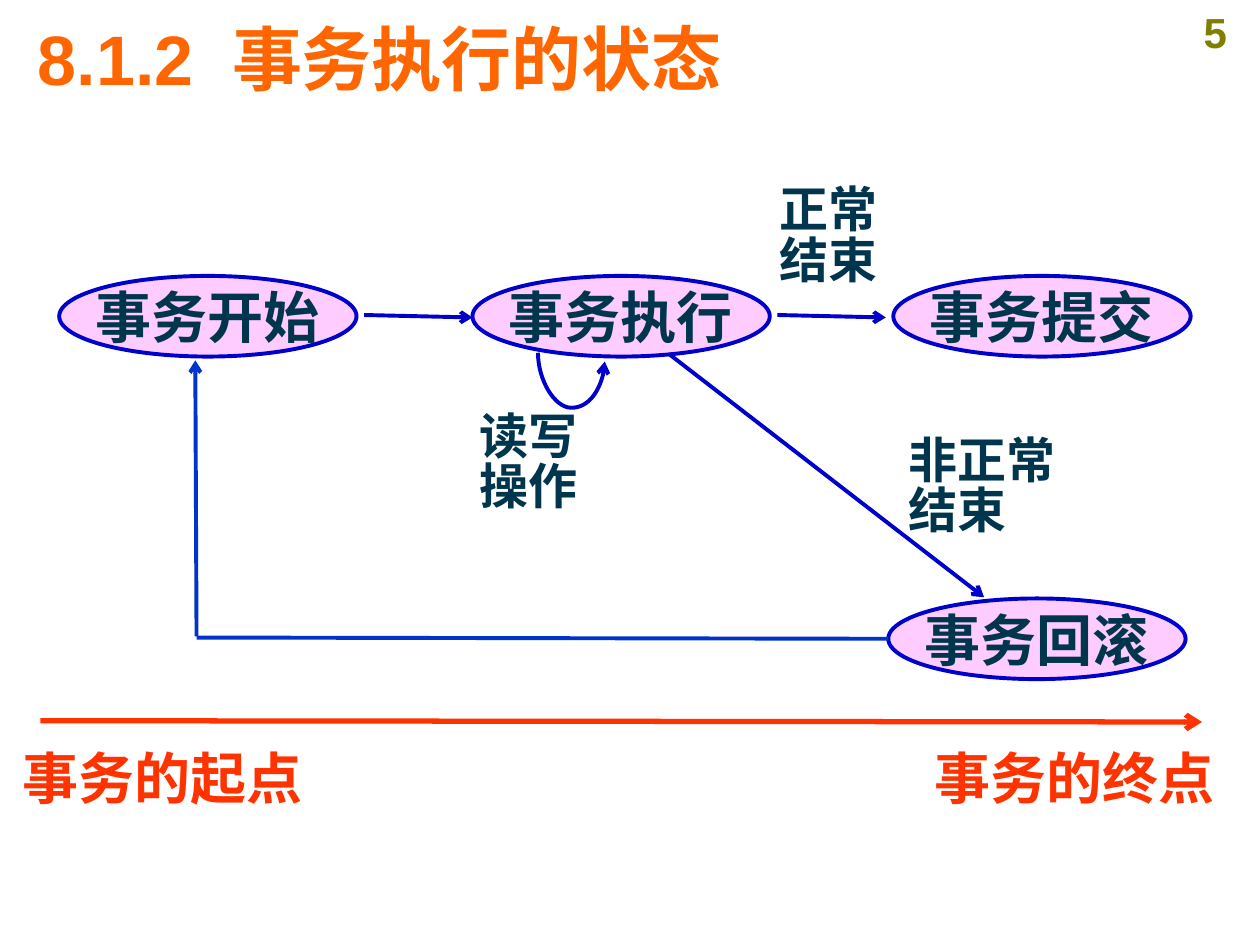
from pptx import Presentation
from pptx import util as u
from pptx.dml.color import RGBColor
from pptx.enum import shapes, text
from pptx.oxml import parse_xml
from pptx.oxml.ns import nsdecls, qn

ORANGE = RGBColor(0xFF, 0x66, 0x00)
OLIVE = RGBColor(0x80, 0x80, 0x00)
PINK = RGBColor(0xFF, 0xCC, 0xFF)
NAVY = RGBColor(0x00, 0x00, 0xCC)
BLUE = RGBColor(0x00, 0x33, 0xCC)
INK = RGBColor(0x00, 0x35, 0x4E)
RED = RGBColor(0xFF, 0x33, 0x00)
LEFT, MID = text.PP_ALIGN.LEFT, text.PP_ALIGN.CENTER


class Page:
    head = "Arial"
    body = "Roboto"

    def __init__(self, deck):
        self.slide = deck.slides.add_slide(deck.slide_layouts[5])

    def run(self, para, words, size, color, face):
        run = para.add_run()
        run.text = words
        font = run.font
        font.name, font.size, font.bold = face, u.Pt(size), True
        font.color.rgb = color
        return run

    def title(self, x, y, w, h, num, words):
        shape = self.slide.shapes.title
        shape.left, shape.top = u.Inches(x), u.Inches(y)
        shape.width, shape.height = u.Inches(w), u.Inches(h)
        frame = shape.text_frame
        frame.auto_size = text.MSO_AUTO_SIZE.NONE
        frame.vertical_anchor = text.MSO_ANCHOR.MIDDLE
        para = frame.paragraphs[0]
        para.alignment = LEFT
        self.run(para, num, 40, ORANGE, self.head)
        gap = self.run(para, " ", 40, ORANGE, self.head)
        gap.font._element.set("spc", "1100")
        self.run(para, words, 40, ORANGE, self.head)

    def label(self, x, y, w, h, lines, size, color, face=body, align=LEFT,
              lead=None, wrap=False):
        box = self.slide.shapes.add_textbox(*map(u.Inches, (x, y, w, h)))
        frame = box.text_frame
        frame.word_wrap = wrap
        for i, words in enumerate(lines):
            para = frame.add_paragraph() if i else frame.paragraphs[0]
            para.alignment = align
            if lead:
                para.line_spacing = u.Pt(lead)
            self.run(para, words, size, color, face)

    def state(self, x, y, words):
        oval = self.slide.shapes.add_shape(
            shapes.MSO_SHAPE.OVAL, *map(u.Inches, (x, y, 2.36, 0.64)))
        oval.shadow.inherit = False
        oval.fill.solid()
        oval.fill.fore_color.rgb = PINK
        oval.line.color.rgb = NAVY
        oval.line.width = u.Pt(2.25)
        frame = oval.text_frame
        frame.word_wrap = False
        frame.vertical_anchor = text.MSO_ANCHOR.MIDDLE
        para = frame.paragraphs[0]
        para.alignment = MID
        self.run(para, words, 32, INK, self.body)

    def line(self, x1, y1, x2, y2, color=NAVY, width=2.25, arrow=True,
             kind=shapes.MSO_CONNECTOR.STRAIGHT):
        line = self.slide.shapes.add_connector(
            kind, *map(u.Inches, (x1, y1, x2, y2)))
        line.line.color.rgb = color
        line.line.width = u.Pt(width)
        if arrow:
            line.line._get_or_add_ln().append(
                parse_xml(f'<a:tailEnd {nsdecls("a")} type="arrow"/>'))
        line._element.spPr.append(
            parse_xml(f'<a:effectLst {nsdecls("a")}/>'))
        return line

    def loop(self, x1, y1, x2, y2, bend):
        curve = self.line(x1, y1, x2, y2, kind=shapes.MSO_CONNECTOR.CURVE)
        props = curve._element.spPr
        props.find(qn("a:xfrm")).set("rot", str(270 * 60000))
        geom = props.find(qn("a:prstGeom"))
        old = geom.find(qn("a:avLst"))
        if old is not None:
            geom.remove(old)
        geom.append(parse_xml(
            f'<a:avLst {nsdecls("a")}>'
            f'<a:gd name="adj1" fmla="val {bend}"/></a:avLst>'))


def main():
    deck = Presentation()
    deck.slide_width, deck.slide_height = u.Inches(10), u.Inches(7.5)
    page = Page(deck)
    page.label(9.29, 0, 0.71, 0.5, ["5"], 24, OLIVE, page.head, MID,
               wrap=True)
    page.title(0.2, 0.08, 9.5, 0.76, "8.1.2", "事务执行的状态")

    for x, y, words in [(0.47, 2.19, "事务开始"), (3.75, 2.19, "事务执行"),
                        (7.09, 2.19, "事务提交"), (7.05, 4.75, "事务回滚")]:
        page.state(x, y, words)

    for x in (2.89, 6.17):
        page.line(x, 2.5, x + 0.86, 2.52)
    page.line(5.31, 2.81, 7.81, 4.74)
    page.loop(4.57, 2.57, 4.5, 3.1, 623300)
    page.line(7.05, 5.07, 1.56, 5.06, BLUE, arrow=False)
    page.line(1.56, 5.05, 1.55, 2.86, BLUE)

    for x, y, w, lines in [(3.71, 3.23, 0.99, ["读写", "操作"]),
                           (7.11, 3.42, 1.39, ["非正常", "结束"]),
                           (6.09, 1.43, 0.99, ["正常", "结束"])]:
        page.label(x, y, w, 0.91, lines, 28, INK, lead=29)

    page.line(0.32, 5.72, 9.54, 5.73, RED, 3)
    for x, words in [(0.08, "事务的起点"), (7.32, "事务的终点")]:
        page.label(x, 5.85, 2.43, 0.63, [words], 32, RED)
    deck.save("out.pptx")


if __name__ == "__main__":
    main()
